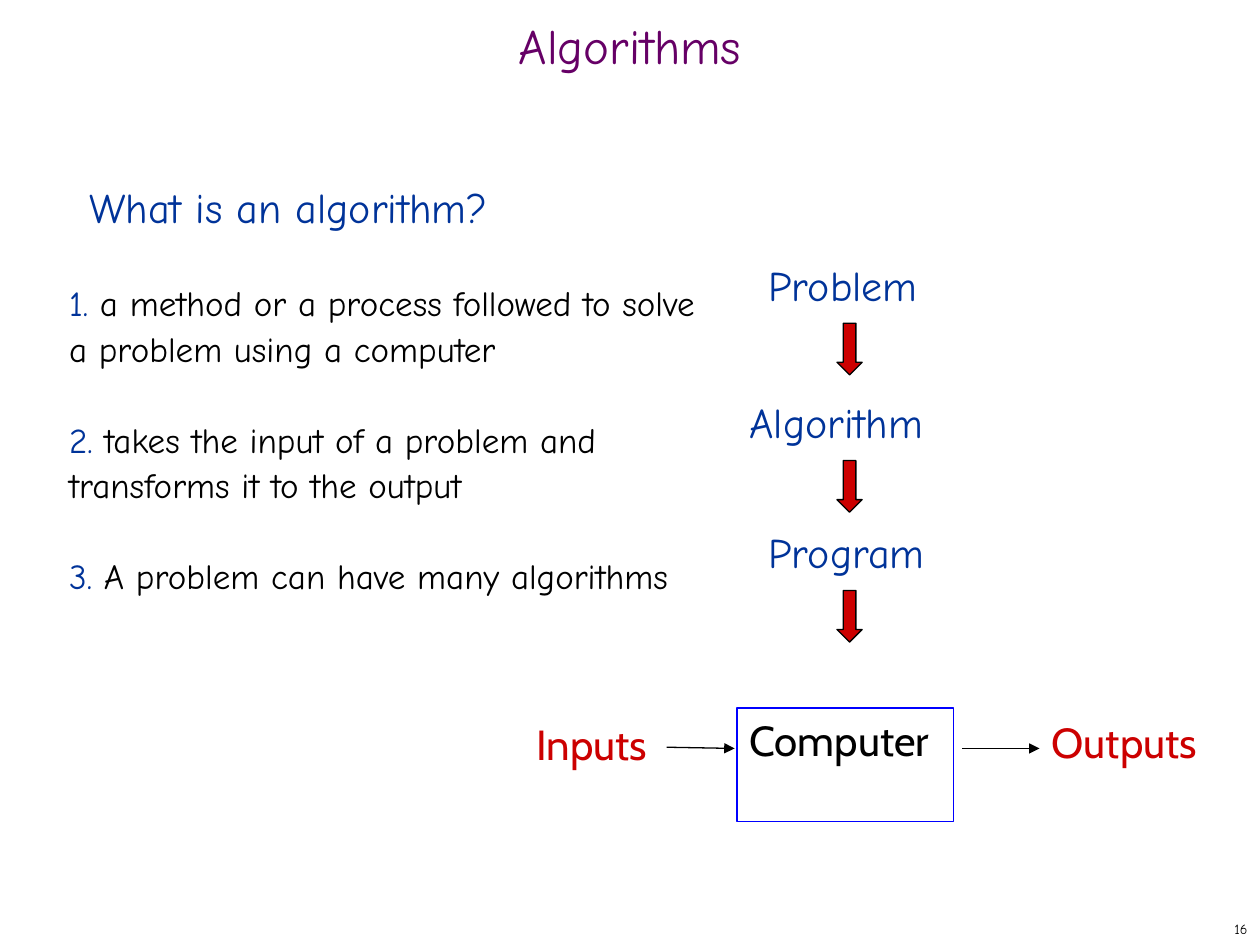
from pptx import Presentation
from pptx.util import Pt
from pptx.dml.color import RGBColor as RGB
from pptx.enum.shapes import MSO_SHAPE as Shape, MSO_CONNECTOR as Conn
from pptx.enum.text import PP_ALIGN as Align, MSO_ANCHOR as Anchor
from pptx.oxml.ns import qn
from lxml.etree import SubElement as Sub

theme = {
    "hand": "Comic Neue", "sans": "Cabin",
    "title": 28, "head": 24, "body": 20, "page": 8,
    "plum": "660066", "blue": "003399", "red": "CC0000",
    "black": "000000", "frame": "0000FF",
}

title = "Algorithms"
query = "What is an algorithm?"
page = "16"
points = [
    "a method or a process followed to solve a problem using a computer",
    "takes the input of a problem and transforms it to the output",
    "A problem can have many algorithms",
]
steps = [
    ("Problem", 432, 144.7, 112),
    ("Algorithm", 421.2, 223.2, 128),
    ("Program", 432, 297.4, 110),
]
ends = [("Inputs", 299.5, 406.8, 83.5), ("Outputs", 594, 406, 103)]
flows = [(381, 427, 419.8, 427.7), (550, 427.7, 594, 427.7)]
frame = (421.2, 404.6, 123.8, 64.8)
drop, wide, tall, mid = 40, 14.4, 29.5, 485.5

deck = Presentation()
deck.slide_width, deck.slide_height = Pt(720), Pt(540)
slide = deck.slides.add_slide(deck.slide_layouts[6])
shapes = slide.shapes


def color(name):
    return RGB.from_string(theme[name])


def style(run, size, tint, face="hand"):
    font = run.font
    font.name, font.size = theme[face], Pt(theme[size])
    font.color.rgb = color(tint)


def write(frame, text, size, tint, face="hand", align=Align.LEFT, anchor=Anchor.TOP):
    frame.word_wrap = True
    frame.vertical_anchor = anchor
    frame.text = text
    para = frame.paragraphs[0]
    para.alignment = align
    style(para.runs[0], size, tint, face)
    return para


def label(text, place, *args, **more):
    box = shapes.add_textbox(*map(Pt, place))
    return write(box.text_frame, text, *args, **more)


def block(kind, place, fill, edge):
    item = shapes.add_shape(kind, *map(Pt, place))
    item.shadow.inherit = False
    if fill:
        item.fill.solid()
        item.fill.fore_color.rgb = color(fill)
    else:
        item.fill.background()
    item.line.color.rgb = color(edge)
    item.line.width = Pt(0.75)
    return item


def arrow(span):
    line = shapes.add_connector(Conn.STRAIGHT, *map(Pt, span))
    line.line.color.rgb = color("black")
    line.line.width = Pt(0.75)
    Sub(line.line._get_or_add_ln(), qn("a:tailEnd"), type="triangle")
    Sub(line._element.spPr, qn("a:effectLst"))


label(page, (570.2, 522, 149.8, 18), "page", "black",
      align=Align.RIGHT, anchor=Anchor.MIDDLE)
head = label(title, (0, 12, 720, 36), "title", "plum",
             align=Align.CENTER, anchor=Anchor.MIDDLE)
head.line_spacing = 0.7
label(query, (43.9, 100, 463.7, 36), "head", "blue")

body = shapes.add_textbox(*map(Pt, (32.4, 155.5, 379.4, 260))).text_frame
body.word_wrap = True
for num, text in enumerate(points, 1):
    para = body.paragraphs[0] if num == 1 else body.add_paragraph()
    para.line_spacing = Pt(26)
    if num > 1:
        para.space_before = Pt(26)
    for part, tint in ((f"{num}.", "blue"), (f" {text}", "black")):
        run = para.add_run()
        run.text = part
        style(run, "body", tint)

for text, left, top, width in steps:
    label(text, (left, top, width, 36), "head", "blue")
    block(Shape.DOWN_ARROW, (mid - wide / 2, top + drop, wide, tall), "red", "black")

box = block(Shape.RECTANGLE, frame, None, "frame")
write(box.text_frame, "Computer", "head", "black", "sans")
for text, left, top, width in ends:
    label(text, (left, top, width, 64.8), "head", "red", "sans")
for span in flows:
    arrow(span)

deck.save("out.pptx")
